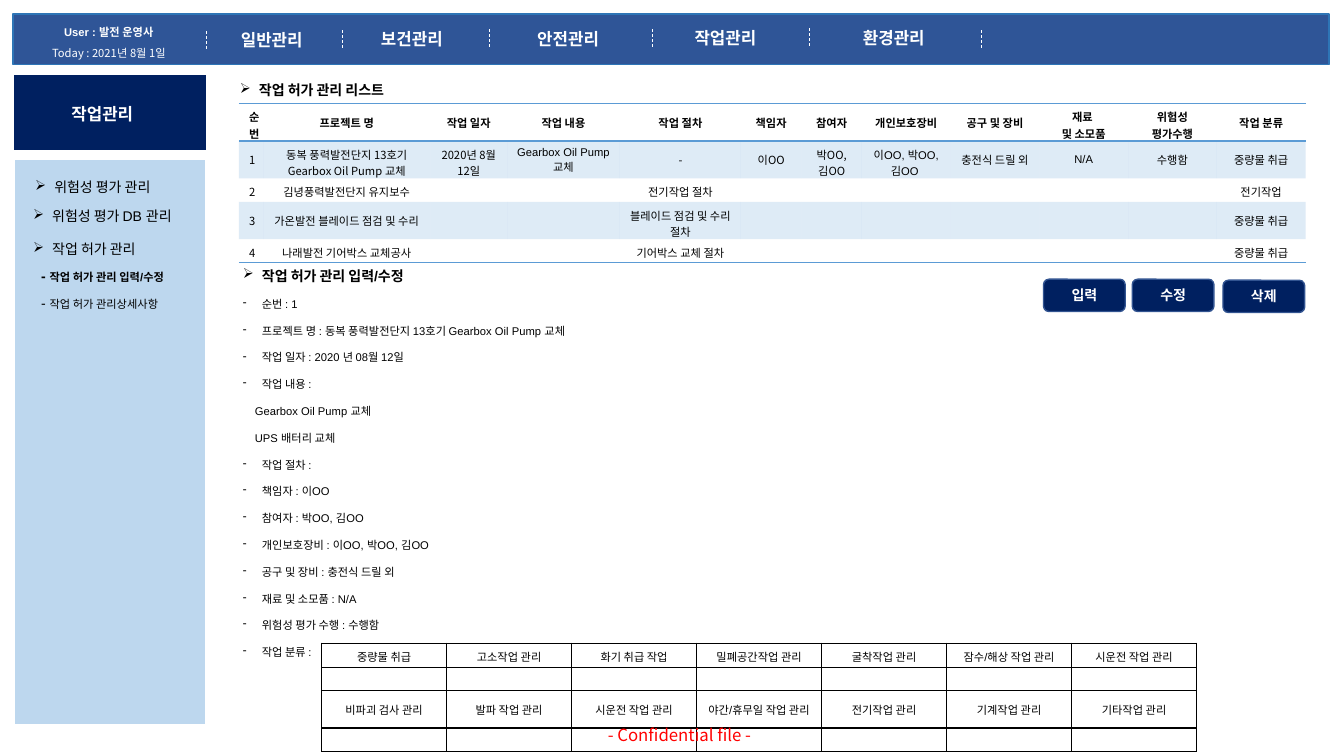
from lxml import etree
from pptx import Presentation
from pptx import util as u
from pptx.dml import color
from pptx.enum import dml, shapes, text
from pptx.oxml import ns

PX = 9144
ARIAL, NOTO = "Arial", "Noto Sans CJK KR"
WHITE = color.RGBColor(0xFF, 0xFF, 0xFF)
BLACK = color.RGBColor(0, 0, 0)
RED = color.RGBColor(0xFF, 0, 0)
NAVY = color.RGBColor(0x00, 0x20, 0x60)
PALE = color.RGBColor(0xBD, 0xD7, 0xEE)
BAR = color.RGBColor(0x2F, 0x55, 0x97)
BAR_EDGE = color.RGBColor(0x2E, 0x75, 0xB6)
BUTTON_EDGE = color.RGBColor(0x32, 0x54, 0x91)
BAND = color.RGBColor(0x5B, 0x9B, 0xD5)
PLAIN_TABLE = "{2D5ABB26-0587-4C30-8999-92F81FD0307C}"
CENTER = text.PP_ALIGN.CENTER
MIDDLE = text.MSO_ANCHOR.MIDDLE

SMALL = dict(name=ARIAL, size=u.Pt(8), bold=False)
BODY = dict(SMALL, size=u.Pt(10))
HEADING = dict(BODY, bold=True)
MENU = dict(HEADING, size=u.Pt(12))

LIST_COLS = [23, 166, 76, 112, 120, 60, 60] + [88] * 5
LIST_HEIGHTS = [37, 37, 23, 37, 23]
LIST_ROWS = [
    ["순번", "프로젝트 명", "작업 일자", "작업 내용", "작업 절차", "책임자", "참여자", "개인보호장비",
     "공구 및 장비", "재료 \n및 소모품", "위험성\n평가수행", "작업 분류"],
    ["1", "동복 풍력발전단지 13호기 Gearbox Oil Pump 교체", "2020년 8월 12일",
     "Gearbox Oil Pump 교체", "-", "이OO", "박OO,김OO", "이OO, 박OO, 김OO ",
     "충전식 드릴 외", "N/A", "수행함", "중량물 취급"],
    ["2", "김녕풍력발전단지 유지보수", "", "", "전기작업 절차"] + [""] * 6 + ["전기작업"],
    ["3", "가온발전 블레이드 점검 및 수리", "", "", "블레이드 점검 및 수리 절차"] + [""] * 6 + ["중량물 취급"],
    ["4", "나래발전 기어박스 교체공사", "", "", "기어박스 교체 절차"] + [""] * 6 + ["중량물 취급"],
]
LIST_ARIAL = {(1, 3), (1, 7), (1, 8), (1, 9)}
KIND_HEIGHTS = [24, 23, 37, 23]
KIND_ROWS = [
    ["중량물 취급", "고소작업 관리", "화기 취급 작업", "밀폐공간작업 관리", "굴착작업 관리",
     "잠수/해상 작업 관리", "시운전 작업 관리"],
    [""] * 7,
    ["비파괴 검사 관리", "발파 작업 관리", "시운전 작업 관리", "야간/휴무일 작업 관리",
     "전기작업 관리", "기계작업 관리", "기타작업 관리"],
    [""] * 7,
]
DETAILS = [
    ("-", "순번 : 1"), ("-", "프로젝트 명 : 동복 풍력발전단지 13호기 Gearbox Oil Pump 교체"),
    ("-", "작업 일자 : 2020 년 08월 12일"), ("-", "작업 내용 :"),
    ("", "Gearbox Oil Pump 교체"), ("", "UPS 배터리 교체"), ("-", "작업 절차 :"),
    ("-", "책임자 : 이OO"), ("-", "참여자 : 박OO, 김OO"),
    ("-", "개인보호장비 : 이OO, 박OO, 김OO"), ("-", "공구 및 장비 : 충전식 드릴 외"),
    ("-", "재료 및 소모품 : N/A"), ("-", "위험성 평가 수행 : 수행함"), ("-", "작업 분류 :"),
]


def box_emu(*box):
    return [n * PX for n in box]


def write(p, words, fmt, rgb=BLACK):
    r = p.add_run()
    r.text = words
    for key, value in fmt.items():
        setattr(r.font, key, value)
    r.font.color.rgb = rgb


def bullet(p, mark, indent=19):
    pr = p._p.get_or_add_pPr()
    pr.set("marL", str(indent * PX))
    if mark:
        pr.set("indent", str(-indent * PX))
        etree.SubElement(pr, ns.qn("a:buChar"), char=mark)


def text_frame(s, *box):
    tf = s.shapes.add_textbox(*box_emu(*box)).text_frame
    tf.word_wrap = True
    return tf


def label(s, box, words, fmt, rgb=BLACK, mark=None):
    p = text_frame(s, *box).paragraphs[0]
    write(p, words, fmt, rgb)
    if mark:
        bullet(p, mark)


def block(s, kind, box, fill, edge, width):
    sp = s.shapes.add_shape(kind, *box_emu(*box))
    sp.shadow.inherit = False
    sp.fill.solid()
    sp.fill.fore_color.rgb = fill
    sp.line.color.rgb = edge
    sp.line.width = u.Pt(width)
    return sp


def separator(s, x, y):
    line = s.shapes.add_connector(shapes.MSO_CONNECTOR.STRAIGHT, *box_emu(x, y, x, y + 19))
    line.line.color.rgb = WHITE
    line.line.width = u.Pt(0.5)
    line.line.dash_style = dml.MSO_LINE.DASH
    etree.SubElement(line._element.spPr, ns.qn("a:effectLst"))


def top_bar(s, x, y, w, h):
    block(s, shapes.MSO_SHAPE.RECTANGLE, (x, y, w, h), BAR, BAR_EDGE, 1)
    for dx, dy in [(192, 17), (327, 16), (472, 15), (634, 15), (790, 14), (960, 16)]:
        separator(s, x + dx, y + dy)
    for dx, dy, words in [(216, 11, "일반관리"), (355, 10, "보건관리"), (510, 10, "안전관리"),
                          (666, 9, "작업관리"), (833, 9, "환경관리")]:
        label(s, (x + dx, y + dy, 98, 30), words, MENU, WHITE)
    tf = text_frame(s, x + 18, y, 154, 48)
    user = dict(SMALL, bold=True)
    today = dict(SMALL, name=NOTO)
    for p, words, fmt in [(tf.paragraphs[0], "User : 발전 운영사", user),
                          (tf.add_paragraph(), "Today : 2021년 8월 1일", today)]:
        p.alignment = CENTER
        p.line_spacing = 1.5
        write(p, words, fmt, WHITE)


def sidebar(s, x, y, w, h):
    block(s, shapes.MSO_SHAPE.RECTANGLE, (x, y, w, 77), NAVY, WHITE, 1.5)
    block(s, shapes.MSO_SHAPE.RECTANGLE, (x + 1, y + 85, w - 2, h - 85), PALE, WHITE, 1.5)
    label(s, (x + 48, y + 25, 98, 30), "작업관리", MENU, WHITE)
    for dx, dy, words in [(12, 99, "위험성 평가 관리"), (10, 128, "위험성 평가 DB 관리"),
                          (10, 161, "작업 허가 관리")]:
        label(s, (x + dx, y + dy, 190, 27), words, BODY, mark="➢")
    for dy, words, bold in [(187, "작업 허가 관리 입력/수정", True), (214, "작업 허가 관리상세사항", False)]:
        p = text_frame(s, x + 18, y + dy, 201, 27).paragraphs[0]
        write(p, "- ", dict(BODY, bold=bold))
        write(p, words, dict(SMALL, bold=bold))


def border(cell, sides, rgb):
    pr = cell._tc.get_or_add_tcPr()
    for side in sides:
        ln = etree.SubElement(pr, ns.qn(f"a:ln{side}"), w="12700")
        fill = etree.SubElement(ln, ns.qn("a:solidFill"))
        etree.SubElement(fill, ns.qn("a:srgbClr"), val=str(rgb))


def table(s, x, y, cols, heights, rows, style):
    size = box_emu(x, y, sum(cols), sum(heights))
    t = s.shapes.add_table(len(rows), len(cols), *size).table
    t.first_row = t.horz_banding = False
    t._tbl.tblPr.find(ns.qn("a:tableStyleId")).text = PLAIN_TABLE
    for col, width in zip(t.columns, cols):
        col.width = width * PX
    for row, height in zip(t.rows, heights):
        row.height = height * PX
    for i, row in enumerate(rows):
        for j, words in enumerate(row):
            cell = t.cell(i, j)
            cell.vertical_anchor = MIDDLE
            fmt, sides, rgb, banded = style(i, j)
            border(cell, sides, rgb)
            cell.fill.background()
            if banded:
                cell.fill.solid()
                cell.fill.fore_color.rgb = BAND
                tint = cell._tc.tcPr.find(".//" + ns.qn("a:srgbClr") + "[last()]")
                tint = cell._tc.tcPr.find(ns.qn("a:solidFill"))[0]
                etree.SubElement(tint, ns.qn("a:alpha"), val="20000")
            for k, part in enumerate(words.split("\n")):
                p = cell.text_frame.add_paragraph() if k else cell.text_frame.paragraphs[0]
                p.alignment = CENTER
                if part:
                    write(p, part, fmt)
                else:
                    etree.SubElement(p._p, ns.qn("a:endParaRPr"), sz="800")


def list_style(i, j):
    fmt = dict(SMALL, name=ARIAL if (i, j) in LIST_ARIAL else NOTO, bold=i == 0)
    return fmt, {0: "TB", 4: "B"}.get(i, ""), BAND, i in (1, 3)


def kind_style(i, j):
    return dict(SMALL, name=NOTO if (i, j) == (0, 6) else ARIAL), "LRTB", BLACK, False


def permit_list(s, x, y):
    label(s, (x, y, 540, 27), "작업 허가 관리 리스트", HEADING, mark="➢")
    table(s, x + 9, y + 27, LIST_COLS, LIST_HEIGHTS, LIST_ROWS, list_style)


def permit_form(s, x, y, w, h):
    for dx, dy, words in [(804, 17, "입력"), (892, 17, "수정"), (982, 18, "삭제")]:
        sp = block(s, shapes.MSO_SHAPE.ROUNDED_RECTANGLE, (x + dx, y + dy, 81, 32),
                   NAVY, BUTTON_EDGE, 1)
        sp.text_frame.vertical_anchor = MIDDLE
        p = sp.text_frame.paragraphs[0]
        p.alignment = CENTER
        write(p, words, dict(HEADING, name=NOTO), WHITE)
    table(s, x + 88, y + 378, [124] * 7, KIND_HEIGHTS, KIND_ROWS, kind_style)
    label(s, (x + 362, y + 454, 317, 30), "- Confidential file -",
          dict(MENU, name=NOTO, bold=False), RED)
    tf = text_frame(s, x, y, w, h)
    p = tf.paragraphs[0]
    p.line_spacing = u.Pt(12)
    bullet(p, "➢")
    write(p, "작업 허가 관리 입력/수정", HEADING)
    for mark, words in DETAILS:
        p = tf.add_paragraph()
        p.line_spacing = u.Pt(19.15)
        bullet(p, mark, 19 if mark else 12)
        write(p, words, SMALL)


def main():
    prs = Presentation()
    prs.slide_width, prs.slide_height = box_emu(1333, 750)
    s = prs.slides.add_slide(prs.slide_layouts[6])
    sidebar(s, 13, 73, 192, 646)
    top_bar(s, 13, 14, 1305, 50)
    permit_list(s, 228, 76)
    permit_form(s, 231, 260, 540, 438)
    prs.save("out.pptx")


if __name__ == "__main__":
    main()
